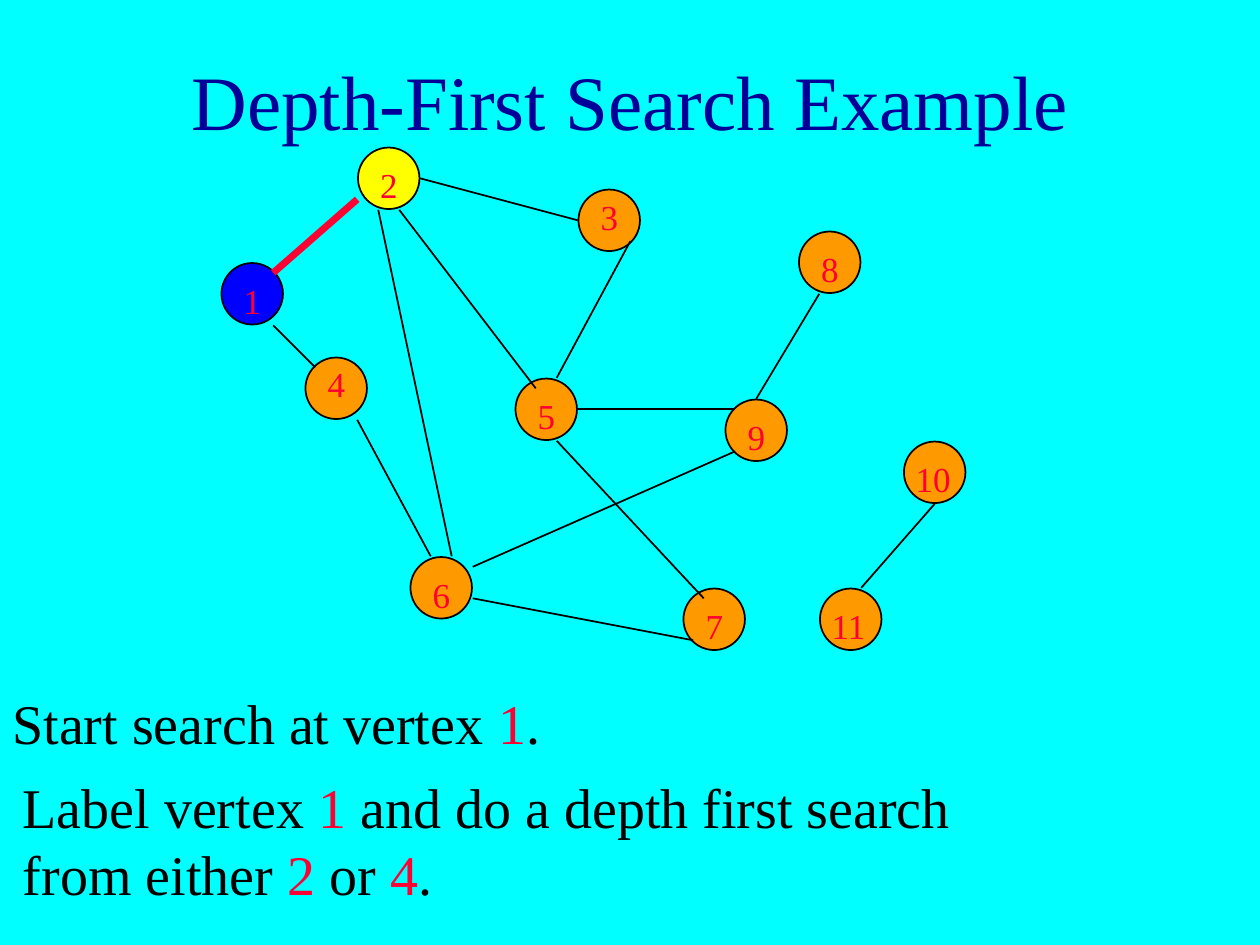
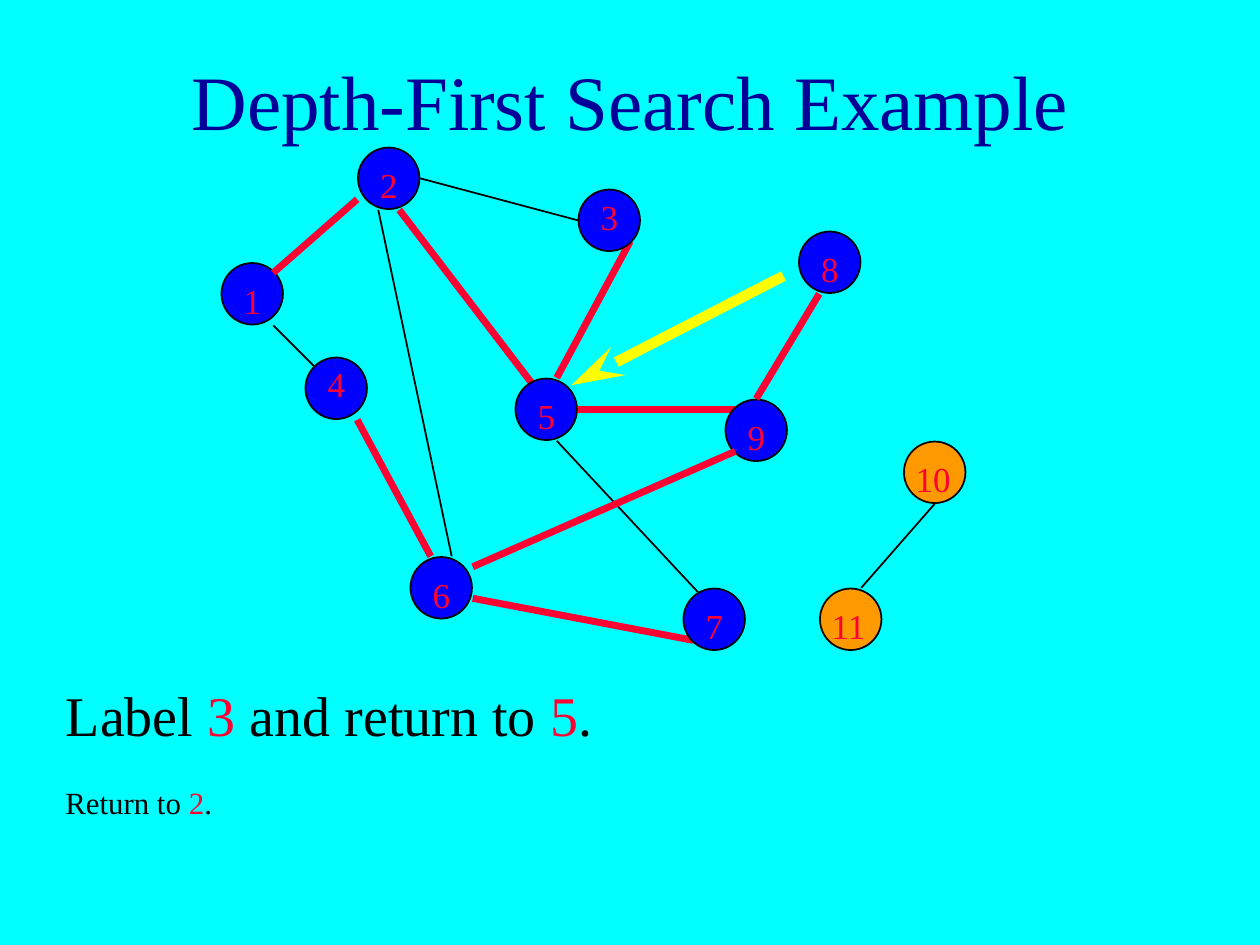
from pptx import Presentation
from pptx.dml.color import RGBColor
from pptx.enum.shapes import MSO_CONNECTOR, MSO_SHAPE
from pptx.enum.text import MSO_ANCHOR, PP_ALIGN
from pptx.oxml.ns import qn
from pptx.util import Cm, Pt
from lxml.etree import SubElement

COLORS = {
    "background": "00FFFF", "title": "000099", "text": "000000",
    "vertex": "FF0033", "line": "000000", "tree": "FF0033",
    "unvisited": "FF9900", "visited": "0000FF", "current": "FFFF00",
}
FONT = "Times New Roman"
TITLE = "Depth-First Search Example"

# The graph sits on a grid of twelfths of an inch
UNIT = 2.54 / 12
DIAMETER = 1.24
GRAPH_BOX = (4.45, 2.96)
VERTICES = {
    1: (3, 14), 2: (16, 3), 3: (37, 7), 4: (11, 23), 5: (31, 25), 6: (21, 42),
    7: (47, 45), 8: (58, 11), 9: (51, 27), 10: (68, 31), 11: (60, 45),
}
EDGES = {
    (1, 2): (13, 5, 5, 12), (2, 5): (17, 6, 30, 23), (1, 4): (5, 17, 9, 21),
    (4, 6): (13, 26, 20, 39), (6, 7): (24, 43, 45, 47),
    (3, 5): (39, 9, 32, 22), (5, 7): (32, 28, 46, 43),
    (8, 9): (57, 14, 51, 24), (10, 11): (68, 34, 61, 42),
    (5, 9): (34, 25, 49, 25), (2, 3): (19, 3, 34, 7),
    (2, 6): (15, 6, 22, 39), (6, 9): (24, 40, 49, 29),
}
RETURN_ARROW = (53.6, 12.3, 33.4, 22.7)
RAISED_LABELS = {3, 4}


def rgb(name):
    return RGBColor.from_string(COLORS[name])


def add_run(p, text, size, color):
    r = p.add_run()
    r.text = text
    for key, value in {"name": FONT, "size": Pt(size)}.items():
        setattr(r.font, key, value)
    r.font.color.rgb = rgb(color)


def add_text(slide, box, parts, size, wrap=True):
    """Place (text, colour) parts in one paragraph."""
    tf = slide.shapes.add_textbox(*map(Cm, box)).text_frame
    tf.word_wrap = wrap
    for text, color in parts:
        add_run(tf.paragraphs[0], text, size, color)


def add_sentence(slide, box, text, size=32, wrap=True):
    """Vertex numbers stand between bars and take the vertex colour."""
    parts = [(part, "vertex" if i % 2 else "text")
             for i, part in enumerate(text.split("|"))]
    add_text(slide, box, parts, size, wrap)


def add_line(slide, origin, ends, color="line", width=1, arrow=False):
    left, top = origin
    x1, y1, x2, y2 = (v * UNIT for v in ends)
    s = slide.shapes.add_connector(
        MSO_CONNECTOR.STRAIGHT,
        Cm(left + x1), Cm(top + y1), Cm(left + x2), Cm(top + y2))
    s.line.color.rgb = rgb(color)
    s.line.width = Pt(width)
    if arrow:
        SubElement(s.line._get_or_add_ln(), qn("a:tailEnd"),
                   type="stealth", w="med", len="lg")
    SubElement(s._element.spPr, qn("a:effectLst"))


def add_vertex(slide, origin, number, color):
    x, y = (o + v * UNIT for o, v in zip(origin, VERTICES[number]))
    s = slide.shapes.add_shape(
        MSO_SHAPE.OVAL, Cm(x - DIAMETER / 2), Cm(y - DIAMETER / 2),
        Cm(DIAMETER), Cm(DIAMETER))
    s.shadow.inherit = False
    s.fill.solid()
    s.fill.fore_color.rgb = rgb(color)
    s.line.color.rgb = rgb("line")
    s.line.width = Pt(1)

    # Number
    half = 3 if number > 9 else 2
    rise = 3 if number in RAISED_LABELS else 2
    box = (x - half * UNIT, y - rise * UNIT, 1.27 if number > 9 else 0.64, 1.09)
    add_text(slide, box, [(str(number), "vertex")], 20)


def add_graph(slide, origin, walk, current=None):
    """Draw the unvisited graph, then the walk's vertices and edges in order."""
    for number in VERTICES:
        if number not in walk:
            add_vertex(slide, origin, number, "unvisited")
    for edge, ends in EDGES.items():
        if edge not in walk:
            add_line(slide, origin, ends)
    for step in walk:
        if step in EDGES:
            add_line(slide, origin, EDGES[step], "tree", 4)
        else:
            add_vertex(slide, origin, step,
                       "current" if step == current else "visited")


def add_example_slide(prs):
    slide = prs.slides.add_slide(prs.slide_layouts[5])
    slide.background.fill.solid()
    slide.background.fill.fore_color.rgb = rgb("background")

    # Title
    sp = slide.shapes.title
    box = {"left": 1.91, "top": 0.42, "width": 21.59, "height": 3.17}
    for key, value in box.items():
        setattr(sp, key, Cm(value))
    tf = sp.text_frame
    tf.vertical_anchor = MSO_ANCHOR.MIDDLE
    p = tf.paragraphs[0]
    p.alignment = PP_ALIGN.CENTER
    add_run(p, TITLE, 44, "title")
    return slide


def build_start(prs):
    slide = add_example_slide(prs)
    add_graph(slide, GRAPH_BOX, [1, 2, (1, 2)], current=2)
    add_sentence(slide, (0, 13.76, 21.59, 1.98), "Start search at vertex |1|.")
    add_sentence(slide, (0.21, 15.45, 19.69, 2.97),
                 "Label vertex |1| and do a depth first search from either"
                 "| 2 |or |4|.")


def build_return(prs):
    slide = add_example_slide(prs)
    walk = [1, (1, 2), 2, (2, 5), 5, (5, 9), 9, (8, 9), 8, (6, 9), 6,
            (4, 6), 4, (6, 7), 7, (3, 5), 3]
    add_graph(slide, GRAPH_BOX, walk)
    add_line(slide, GRAPH_BOX, RETURN_ARROW, "current", 6, arrow=True)
    add_sentence(slide, (1.08, 13.59, 11.13, 1.6),
                 "Label |3| and return to |5|.", wrap=False)
    add_sentence(slide, (1.07, 15.67, 22.02, 1.07), "Return to |2|.", 17.6)


def main():
    prs = Presentation()
    prs.slide_width, prs.slide_height = Cm(25.4), Cm(19.05)
    build_start(prs)
    build_return(prs)
    prs.save("out.pptx")


if __name__ == "__main__":
    main()
